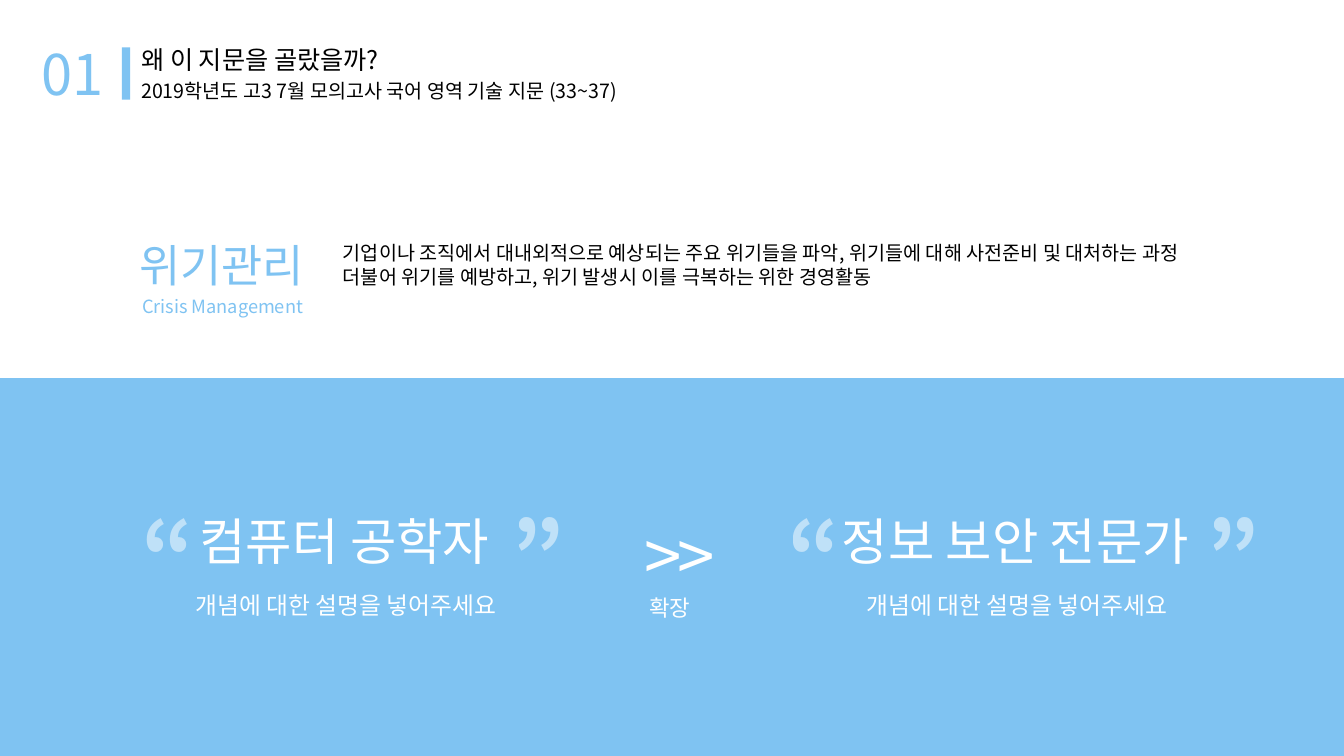
import pptx
import pptx.dml.color
import pptx.enum.shapes
import pptx.enum.text
import pptx.oxml
import pptx.oxml.ns
import pptx.util
from dataclasses import dataclass

PX = 9525  # EMU per px: the slide is 1280 x 720 px
ALIGN = pptx.enum.text.PP_ALIGN


@dataclass(frozen=True)
class Theme:
    font: str = "Noto Sans CJK KR"
    sky: str = "7FC3F2"
    ink: str = "000000"
    white: str = "FFFFFF"
    number: int = 40
    title: int = 18
    body: int = 14
    term: int = 32
    english: int = 13
    quote: int = 66
    role: int = 36
    caption: int = 17
    arrow: int = 48
    step: int = 16


THEME = Theme()


def px(*lengths):
    return [pptx.util.Emu(length * PX) for length in lengths]


def add_child(parent, tag, **attributes):
    child = pptx.oxml.parse_xml(f'<{tag} {pptx.oxml.ns.nsdecls("a")}/>')
    for key, value in attributes.items():
        child.set(key, value)
    parent.append(child)


def write(shape, text, size, color, align=ALIGN.LEFT, wrap=True, bold=False):
    frame = shape.text_frame
    frame.text = text
    frame.word_wrap = wrap
    frame.vertical_anchor = pptx.enum.text.MSO_ANCHOR.TOP
    frame.auto_size = pptx.enum.text.MSO_AUTO_SIZE.SHAPE_TO_FIT_TEXT
    for paragraph in frame.paragraphs:
        paragraph.alignment = align
        paragraph.space_before = pptx.util.Pt(0)
        for run in paragraph.runs:
            run.font.size = pptx.util.Pt(size)
            run.font.bold = bold
            run.font.color.rgb = pptx.dml.color.RGBColor.from_string(color)
            run.font.name = THEME.font
            add_child(run.font._element, "a:ea", typeface=THEME.font)
    return shape


def add_text(slide, box, text, size, color, **style):
    return write(slide.shapes.add_textbox(*px(*box)), text, size, color, **style)


def fill_placeholder(placeholder, box, text, size, color, **style):
    placeholder.left, placeholder.top, placeholder.width, placeholder.height = px(*box)
    return write(placeholder, text, size, color, **style)


def add_block(slide, box):
    block = slide.shapes.add_shape(pptx.enum.shapes.MSO_SHAPE.RECTANGLE, *px(*box))
    block.shadow.inherit = False
    block.fill.solid()
    block.fill.fore_color.rgb = pptx.dml.color.RGBColor.from_string(THEME.sky)
    block.line.fill.background()


def add_header(slide, left, top):
    add_text(slide, (left, top, 86, 74), "01", THEME.number, THEME.sky)
    add_block(slide, (left + 86, top + 12, 8, 50))
    fill_placeholder(slide.shapes.title, (left + 95, top + 4, 312, 38),
                     "왜 이 지문을 골랐을까?", THEME.title, THEME.ink)
    add_text(slide, (left + 95, top + 37, 491, 33),
             "2019학년도 고3 7월 모의고사 국어 영역 기술 지문 (33~37)",
             THEME.body, THEME.ink)


def add_definition(slide, left, top):
    add_text(slide, (left, top, 181, 61), "위기관리", THEME.term, THEME.sky, wrap=False)
    add_text(slide, (left + 3, top + 55, 175, 31), "Crisis Management",
             THEME.english, THEME.sky, wrap=False)
    meaning = fill_placeholder(
        slide.placeholders[1], (left + 194, top + 3, 848, 55),
        "기업이나 조직에서 대내외적으로 예상되는 주요 위기들을 파악, 위기들에 대해 사전준비 및 대처하는 과정\n"
        "더불어 위기를 예방하고, 위기 발생시 이를 극복하는 위한 경영활동",
        THEME.body, THEME.ink, wrap=False)
    for paragraph in meaning.text_frame.paragraphs:
        properties = paragraph._p.get_or_add_pPr()
        properties.set("marL", "0")
        properties.set("indent", "0")
        add_child(properties, "a:buNone")


def add_role(slide, left, top, width, role):
    center = left + width // 2
    add_text(slide, (center + 8 - 188, top + 11, 376, 68), role,
             THEME.role, THEME.white, align=ALIGN.CENTER)
    # Half-transparent quotation marks at both ends
    for mark, mark_left in (("“", left), ("”", left + width - 37)):
        quote = add_text(slide, (mark_left, top, 37, 116), mark,
                         THEME.quote, THEME.white, bold=True)
        for color in quote._element.iter(pptx.oxml.ns.qn("a:srgbClr")):
            add_child(color, "a:alpha", val="50000")
    add_text(slide, (center + 10 - 160, top + 88, 319, 37), "개념에 대한 설명을 넣어주세요",
             THEME.caption, THEME.white, align=ALIGN.CENTER, wrap=False)


def add_expansion(slide, left, top):
    arrow = add_text(slide, (left, top, 111, 87), ">>", THEME.arrow, THEME.white)
    arrow.text_frame.paragraphs[0].runs[0].font._element.set("spc", "-300")
    add_text(slide, (left + 4, top + 76, 60, 36), "확장", THEME.step, THEME.white,
             align=ALIGN.CENTER, wrap=False)


def main():
    deck = pptx.Presentation()
    deck.slide_width, deck.slide_height = px(1280, 720)
    slide = deck.slides.add_slide(deck.slide_layouts[1])

    # Upper half: heading and definition
    add_header(slide, 30, 33)
    add_definition(slide, 123, 222)

    # Lower half: one role expands into the other
    add_block(slide, (0, 360, 1280, 360))
    add_role(slide, 125, 470, 390, "컴퓨터 공학자")
    add_expansion(slide, 604, 485)
    add_role(slide, 741, 470, 436, "정보 보안 전문가")

    deck.save("out.pptx")


if __name__ == "__main__":
    main()
